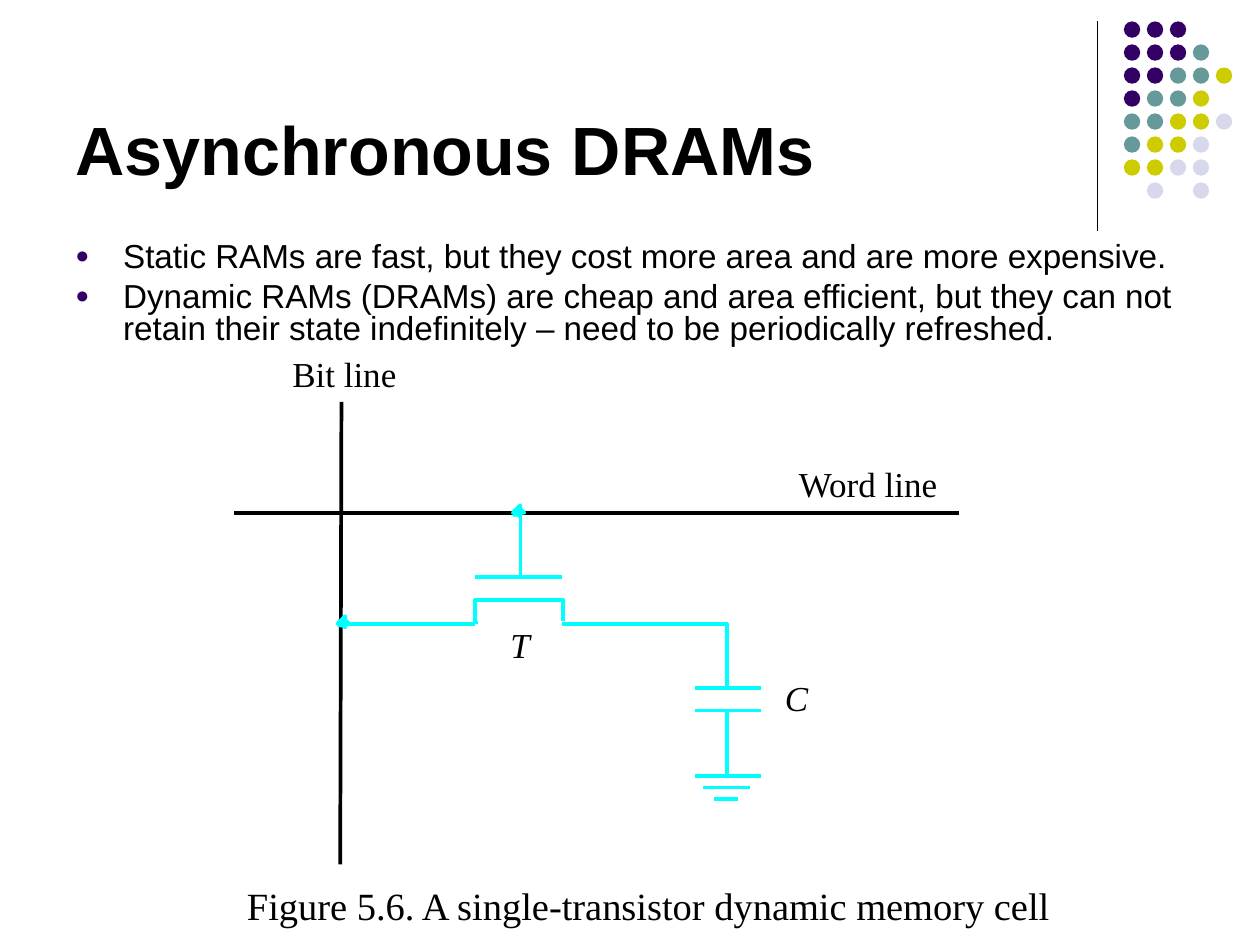
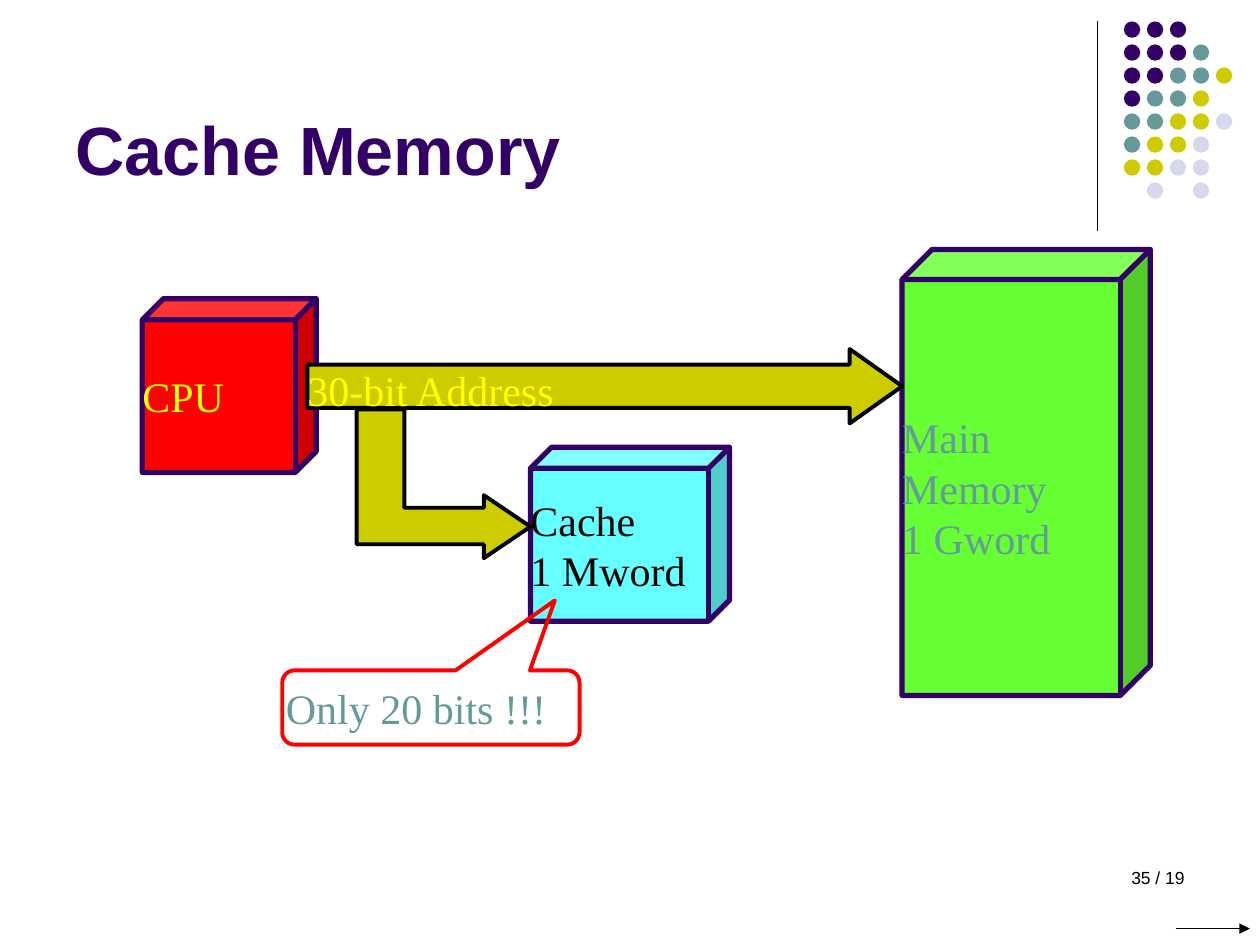
"""Build two lecture slides: a DRAM cell schematic and a cache memory diagram."""
import lxml.etree
import pptx
import pptx.dml.color
import pptx.enum.shapes
import pptx.enum.text
import pptx.oxml.ns
import pptx.util

Inches = pptx.util.Inches
Pt = pptx.util.Pt
Shapes = pptx.enum.shapes.MSO_SHAPE
Anchor = pptx.enum.text.MSO_ANCHOR
Align = pptx.enum.text.PP_ALIGN
rgb = pptx.dml.color.RGBColor.from_string
qn = pptx.oxml.ns.qn

BLACK, WHITE, PURPLE, TEAL = "000000", "FFFFFF", "330066", "669999"
OLIVE, LILAC, CYAN, YELLOW, RED = "CCCC00", "D8D8EC", "00FFFF", "FFFF00", "FF0000"
SANS, SERIF = "Arial", "Times New Roman"
WIRE = 2.13
HUNDREDTH = Inches(0.01)


def write(shape, text, size, font, colour, anchor=Anchor.TOP, inset=0, wrap=True):
    """Put left-aligned text into a shape and format all of its runs."""
    frame = shape.text_frame
    frame.text = text
    frame.word_wrap = wrap
    frame.vertical_anchor = anchor
    frame.margin_left = frame.margin_right = Inches(inset)
    frame.margin_top = frame.margin_bottom = Inches(inset / 2)
    for paragraph in frame.paragraphs:
        paragraph.alignment = Align.LEFT
        for run in paragraph.runs:
            run.font.size = Pt(size)
            run.font.name = font
            run.font.color.rgb = rgb(colour)
    return frame


def draw_line(slide, x1, y1, x2, y2, colour, width):
    """Draw a straight line without a shadow and return its properties element."""
    line = slide.shapes.add_connector(
        pptx.enum.shapes.MSO_CONNECTOR.STRAIGHT, Inches(x1), Inches(y1), Inches(x2), Inches(y2))
    line.line.color.rgb = rgb(colour)
    line.line.width = Pt(width)
    properties = line._element.spPr
    lxml.etree.SubElement(properties, qn("a:effectLst"))
    return properties


deck = pptx.Presentation()
deck.slide_width, deck.slide_height = Inches(10), Inches(7.5)

dot_colours = {"P": PURPLE, "T": TEAL, "O": OLIVE, "L": LILAC}
dot_rows = ["PPP", "PPPT", "PPTTO", "PTTO", "TTOOL", "TOOL", "OOLL", " L L"]
dot_pitch = 0.73 / 4

for title, title_colour in [("Asynchronous DRAMs", BLACK), ("Cache Memory", PURPLE)]:
    slide = deck.slides.add_slide(deck.slide_layouts[6])
    draw_line(slide, 8.71, 0.17, 8.71, 1.83, BLACK, 0.75)
    for row, letters in enumerate(dot_rows):
        for column, letter in enumerate(letters):
            if letter in dot_colours:
                dot = slide.shapes.add_shape(
                    Shapes.OVAL, Inches(8.92 + column * dot_pitch),
                    Inches(0.17 + row * dot_pitch), Inches(0.13), Inches(0.13))
                dot.shadow.inherit = False
                dot.fill.solid()
                dot.fill.fore_color.rgb = rgb(dot_colours[letter])
                dot.line.fill.background()
    heading = slide.shapes.add_textbox(Inches(0.5), Inches(0.13), Inches(8.25), Inches(1.42))
    heading_frame = write(heading, title, 39, SANS, title_colour, Anchor.BOTTOM, 0.1)
    heading_frame.paragraphs[0].runs[0].font.bold = True

dram_slide, cache_slide = deck.slides

points = dram_slide.shapes.add_textbox(Inches(0.5), Inches(1.88), Inches(9), Inches(1.45))
points_frame = write(
    points,
    "Static RAMs are fast, but they cost more area and are more expensive.\n"
    "Dynamic RAMs (DRAMs) are cheap and area efficient, but they can not retain "
    "their state indefinitely – need to be periodically refreshed.",
    19, SANS, BLACK, inset=0.1)
for paragraph in points_frame.paragraphs:
    paragraph.line_spacing = 0.8
    properties = paragraph._p.get_or_add_pPr()
    properties.set("marL", str(Inches(0.38)))
    properties.set("indent", str(-Inches(0.38)))
    bullet_colour = lxml.etree.SubElement(properties, qn("a:buClr"))
    lxml.etree.SubElement(bullet_colour, qn("a:srgbClr"), val=PURPLE)
    lxml.etree.SubElement(properties, qn("a:buSzPct"), val="70000")
    lxml.etree.SubElement(properties, qn("a:buFont"), typeface=SANS)
    lxml.etree.SubElement(properties, qn("a:buChar"), char="●")
points_frame.paragraphs[1].space_before = Pt(4.8)

for text, x, y, width, height, size, italic in [
    ("Figure 5.6. A single-transistor dynamic memory cell", 1.96, 7, 6.48, 0.37, 22, False),
    ("T", 4.05, 4.95, 0.16, 0.33, 20, True),
    ("C", 6.23, 5.37, 0.19, 0.33, 20, True),
    ("Word line", 6.34, 3.67, 1.12, 0.33, 20, False),
    ("Bit line", 2.32, 2.8, 0.83, 0.33, 20, False),
]:
    label = dram_slide.shapes.add_textbox(Inches(x), Inches(y), Inches(width), Inches(height))
    label_frame = write(label, text, size, SERIF, BLACK, wrap=False)
    label_frame.paragraphs[0].runs[0].font.italic = italic

for x1, y1, x2, y2, colour in [
    (7.61, 4.07, 1.86, 4.07, BLACK),
    (4.13, 4.58, 4.13, 4.07, CYAN),
    (3.77, 4.95, 2.7, 4.95, CYAN),
    (2.7, 6.86, 2.71, 3.19, BLACK),
    (5.77, 6.16, 5.77, 5.64, CYAN),
    (5.86, 6.34, 5.67, 6.34, CYAN),
    (5.95, 6.25, 5.58, 6.25, CYAN),
    (6.04, 6.16, 5.52, 6.16, CYAN),
    (4.46, 4.58, 3.77, 4.58, CYAN),
    (6.04, 5.46, 5.52, 5.46, CYAN),
    (6.04, 5.64, 5.52, 5.64, CYAN),
]:
    draw_line(dram_slide, x1, y1, x2, y2, colour, WIRE)

channel = dram_slide.shapes.add_shape(
    Shapes.RECTANGLE, Inches(3.77), Inches(4.76), Inches(0.7), Inches(0.18))
outlines = [channel]
kite = [(6, 0), (3, 3), (0, 6), (3, 6), (6, 9), (6, 6), (9, 6), (6, 3)]
for x, y in [(268, 489), (407, 401)]:
    junction = dram_slide.shapes.add_shape(
        Shapes.RECTANGLE, x * HUNDREDTH, (y + 3) * HUNDREDTH, Inches(0.06), Inches(0.06))
    junction.shadow.inherit = False
    junction.fill.solid()
    junction.fill.fore_color.rgb = rgb(CYAN)
    junction.line.fill.background()
    corners = [(x + dx, y + dy) for dx, dy in kite]
    builder = dram_slide.shapes.build_freeform(*corners[0], scale=HUNDREDTH)
    builder.add_line_segments(corners[1:], close=True)
    outlines.append(builder.convert_to_shape())

draw_line(dram_slide, 3.79, 4.95, 4.7, 4.95, WHITE, 3)
builder = dram_slide.shapes.build_freeform(577, 546, scale=HUNDREDTH)
builder.add_line_segments([(577, 495), (446, 495)], close=False)
outlines.append(builder.convert_to_shape())
for outline in outlines:
    outline.shadow.inherit = False
    outline.fill.background()
    outline.line.color.rgb = rgb(CYAN)
    outline.line.width = Pt(WIRE)

page = cache_slide.shapes.add_textbox(Inches(7.17), Inches(6.83), Inches(2.33), Inches(0.5))
write(page, "35 / 19", 10, SANS, BLACK, inset=0.1).paragraphs[0].alignment = Align.RIGHT

for kind, x, y, width, height, adjustments, fill, edge, edge_width, text, colour, anchor in [
    (Shapes.CUBE, 1.13, 2.37, 1.38, 1.38, [0.121], RED, PURPLE, 3,
     "CPU", YELLOW, Anchor.MIDDLE),
    (Shapes.CUBE, 4.21, 3.55, 1.58, 1.38, [0.121], "66FFFF", PURPLE, 3,
     "Cache\v1 Mword", BLACK, Anchor.MIDDLE),
    (Shapes.CUBE, 7.16, 1.98, 1.97, 3.54, [0.121], "66FF33", PURPLE, 3,
     "Main\vMemory\n1 Gword", TEAL, Anchor.MIDDLE),
    (Shapes.RIGHT_ARROW, 2.44, 2.77, 4.72, 0.59, [0.582, 0.706], OLIVE, BLACK, 2.25,
     "30-bit Address", YELLOW, Anchor.TOP),
    (Shapes.ROUNDED_RECTANGULAR_CALLOUT, 2.24, 5.32, 2.36, 0.59, [0.417, -1.441, 0.167],
     None, RED, 2.25, "Only 20 bits !!!", TEAL, Anchor.MIDDLE),
]:
    part = cache_slide.shapes.add_shape(kind, Inches(x), Inches(y), Inches(width), Inches(height))
    for index, value in enumerate(adjustments):
        part.adjustments[index] = value
    part.shadow.inherit = False
    if fill:
        part.fill.solid()
        part.fill.fore_color.rgb = rgb(fill)
    else:
        part.fill.background()
    part.line.color.rgb = rgb(edge)
    part.line.width = Pt(edge_width)
    write(part, text, 24, SERIF, colour, anchor)

builder = cache_slide.shapes.build_freeform(421, 418, scale=HUNDREDTH)
builder.add_line_segments([
    (384, 393), (384, 403), (321, 403), (321, 325), (283, 325),
    (283, 432), (384, 432), (384, 443)], close=True)
cache_branch = builder.convert_to_shape()
cache_branch.shadow.inherit = False
cache_branch.fill.solid()
cache_branch.fill.fore_color.rgb = rgb(OLIVE)
cache_branch.line.color.rgb = rgb(BLACK)
cache_branch.line.width = Pt(2.25)

next_arrow = draw_line(cache_slide, 9.33, 7.37, 9.92, 7.37, BLACK, 0.75)
lxml.etree.SubElement(next_arrow.find(qn("a:ln")), qn("a:tailEnd"), type="triangle")

deck.save("out.pptx")
